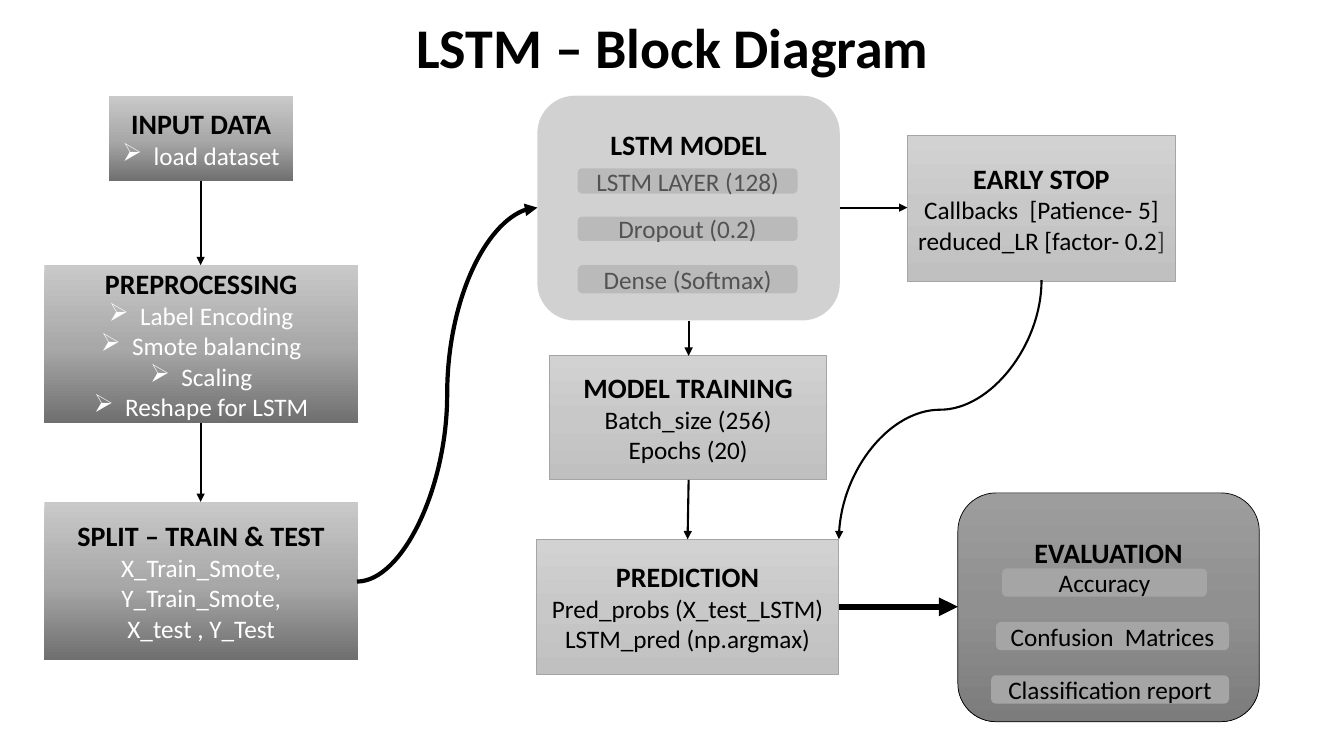
from copy import deepcopy

from lxml.etree import SubElement
from pptx import Presentation
from pptx.dml.color import RGBColor
from pptx.enum.shapes import MSO_CONNECTOR, MSO_SHAPE
from pptx.enum.text import MSO_ANCHOR, MSO_AUTO_SIZE, PP_ALIGN
from pptx.oxml.ns import qn
from pptx.util import Emu, Pt

EMU_PER_PX = 9144
FONT = "Calibri"
COLORS = {
    "black": "000000",
    "white": "FFFFFF",
    "gray": "A5A5A5",
    "bracket": "404040",
}
GRADIENTS = {
    "data": [(0, "C9C9C9"), (0.52, "A8A8A8"), (1, "6F6F6F")],
    "model": [(0, "D2D2D2"), (0.5, "C8C8C8"), (1, "C0C0C0")],
    "evaluation": [(0, "9D9D9D"), (0.5, "909090"), (1, "7C7C7C")],
}


def px(value):
    """Turn pixels into EMU."""
    return Emu(value * EMU_PER_PX)


def rgb(name):
    """Look up a named colour."""
    return RGBColor.from_string(COLORS[name])


def style_run(run, size, color="black", bold=False):
    """Format one run."""
    run.font.name = FONT
    run.font.size = Pt(size)
    run.font.bold = bold
    run.font.color.rgb = rgb(color)


def add_box(slide, preset, box, line=None):
    """Add a shadowless shape with centred text settings."""
    shape = slide.shapes.add_shape(preset, *map(px, box))
    shape.shadow.inherit = False
    if line:
        shape.line.color.rgb = rgb(line)
        shape.line.width = Pt(0.5)
    else:
        shape.line.fill.background()
    text_frame = shape.text_frame
    text_frame.word_wrap = True
    text_frame.vertical_anchor = MSO_ANCHOR.MIDDLE
    text_frame.margin_left = text_frame.margin_right = px(5)
    return shape


def fill_gradient(shape, stops):
    """Fill a shape from top to bottom with three stops."""
    fill = shape.fill
    fill.gradient()
    fill.gradient_angle = 270
    first = shape._element.spPr.find(".//" + qn("a:gs"))
    first.addnext(deepcopy(first))
    for stop, (position, color) in zip(fill.gradient_stops, stops):
        stop.position = position
        stop.color.rgb = RGBColor.from_string(color)


def fill_gray(shape, opacity=100):
    """Fill a shape with gray at the given opacity in percent."""
    shape.fill.solid()
    shape.fill.fore_color.rgb = rgb("gray")
    if opacity < 100:
        color = shape._element.spPr.find(".//" + qn("a:srgbClr"))
        SubElement(color, qn("a:alpha"), val=str(opacity * 1000))


def add_bullet(paragraph):
    """Give a paragraph an arrow bullet with a hanging indent."""
    properties = paragraph._p.get_or_add_pPr()
    properties.set("marL", str(px(31)))
    properties.set("indent", str(-px(31)))
    SubElement(properties, qn("a:buChar"), char="➢")


def write_block(shape, heading, details=(), color="black", bullets=False):
    """Write a bold heading with detail lines below it."""
    text_frame = shape.text_frame
    text_frame.text = "\n".join([heading, *details])
    for index, paragraph in enumerate(text_frame.paragraphs):
        paragraph.alignment = PP_ALIGN.CENTER
        if index and bullets:
            add_bullet(paragraph)
        for run in paragraph.runs:
            if index:
                style_run(run, 18, color)
            else:
                style_run(run, 20, bold=True)


def add_step(slide, box, heading, details, gradient, bullets=False):
    """Add a rectangular step of the diagram."""
    is_data = gradient == "data"
    shape = add_box(slide, MSO_SHAPE.RECTANGLE, box, None if is_data else "gray")
    fill_gradient(shape, GRADIENTS[gradient])
    write_block(shape, heading, details, "white" if is_data else "black", bullets)
    return shape


def add_group_panel(slide, box, heading, margin_top, line=None):
    """Add a rounded panel with its heading near the top."""
    shape = add_box(slide, MSO_SHAPE.ROUNDED_RECTANGLE, box, line)
    shape.text_frame.vertical_anchor = MSO_ANCHOR.TOP
    shape.text_frame.margin_top = px(margin_top)
    write_block(shape, heading)
    return shape


def add_pill(slide, box, text, opacity=100):
    """Add a small rounded label."""
    shape = add_box(slide, MSO_SHAPE.ROUNDED_RECTANGLE, box)
    fill_gray(shape, opacity)
    paragraph = shape.text_frame.paragraphs[0]
    paragraph.text = text
    paragraph.alignment = PP_ALIGN.CENTER
    style_run(paragraph.runs[0], 18)


def add_arrow(slide, points, width=1.5, kind=MSO_CONNECTOR.STRAIGHT, rotation=0):
    """Add a black connector with an arrowhead at its end."""
    connector = slide.shapes.add_connector(kind, *map(px, points))
    connector.rotation = rotation
    connector.line.color.rgb = rgb("black")
    connector.line.width = Pt(width)
    SubElement(connector.line._get_or_add_ln(), qn("a:tailEnd"), type="triangle")
    SubElement(connector._element.spPr, qn("a:effectLst"))


def add_title(slide, text):
    """Place and format the title."""
    title = slide.shapes.title
    title.left, title.top, title.width, title.height = map(px, (400, 7, 534, 77))
    text_frame = title.text_frame
    text_frame.text = text
    text_frame.word_wrap = False
    text_frame.auto_size = MSO_AUTO_SIZE.NONE
    text_frame.vertical_anchor = MSO_ANCHOR.MIDDLE
    paragraph = text_frame.paragraphs[0]
    paragraph.alignment = PP_ALIGN.CENTER
    style_run(paragraph.runs[0], 40, bold=True)


def main():
    """Build the block diagram slide."""
    presentation = Presentation()
    presentation.slide_width, presentation.slide_height = px(1333), px(750)
    slide = presentation.slides.add_slide(presentation.slide_layouts[5])
    add_title(slide, "LSTM – Block Diagram")

    add_step(slide, (108, 95, 183, 85), "INPUT DATA", ["load dataset"], "data", True)
    preprocessing = ["Label Encoding", "Smote balancing", "Scaling", "Reshape for LSTM"]
    add_step(slide, (44, 263, 311, 157), "PREPROCESSING", preprocessing, "data", True)
    splits = ["X_Train_Smote,", "Y_Train_Smote,", "X_test , Y_Test"]
    add_step(slide, (44, 498, 311, 157), "SPLIT – TRAIN & TEST", splits, "data")

    layers = [("LSTM LAYER (128)", 25), ("Dropout (0.2)", 24), ("Dense (Softmax)", 28)]
    for index, (layer, height) in enumerate(layers):
        add_pill(slide, (573, 167 + 48 * index, 218, height), layer, 50)
    model = add_group_panel(slide, (533, 95, 300, 223), "LSTM MODEL", 21)
    fill_gray(model, 50)

    add_step(slide, (545, 353, 275, 123), "MODEL TRAINING",
             ["Batch_size (256)", "Epochs (20)"], "model")
    early_stop = add_step(slide, (900, 134, 266, 145), "EARLY STOP",
                          ["Callbacks  [Patience- 5]", "reduced_LR [factor- 0.2"], "model")
    bracket = early_stop.text_frame.paragraphs[-1].add_run()
    bracket.text = "]"
    style_run(bracket, 18, "bracket")
    add_step(slide, (532, 535, 300, 134), "PREDICTION",
             ["Pred_probs (X_test_LSTM)", "LSTM_pred (np.argmax)"], "model")

    evaluation = add_group_panel(slide, (950, 489, 299, 227), "EVALUATION", 31, "black")
    fill_gradient(evaluation, GRADIENTS["evaluation"])
    metrics = [("Accuracy", 994, 203), ("Confusion  Matrices", 988, 231),
               ("Classification report", 983, 236)]
    for index, (metric, left, width) in enumerate(metrics):
        add_pill(slide, (left, 564 + 53 * index, width, 28), metric)

    for points in [(199, 180, 199, 263), (199, 420, 199, 498), (683, 318, 683, 353),
                   (833, 206, 900, 206), (683, 476, 682, 535)]:
        add_arrow(slide, points)
    add_arrow(slide, (832, 602, 950, 602), 4.5)
    add_arrow(slide, (354, 577, 533, 206), 3, MSO_CONNECTOR.CURVE)
    add_arrow(slide, (804, 306, 1061, 507), kind=MSO_CONNECTOR.CURVE, rotation=90)

    presentation.save("out.pptx")


if __name__ == "__main__":
    main()
